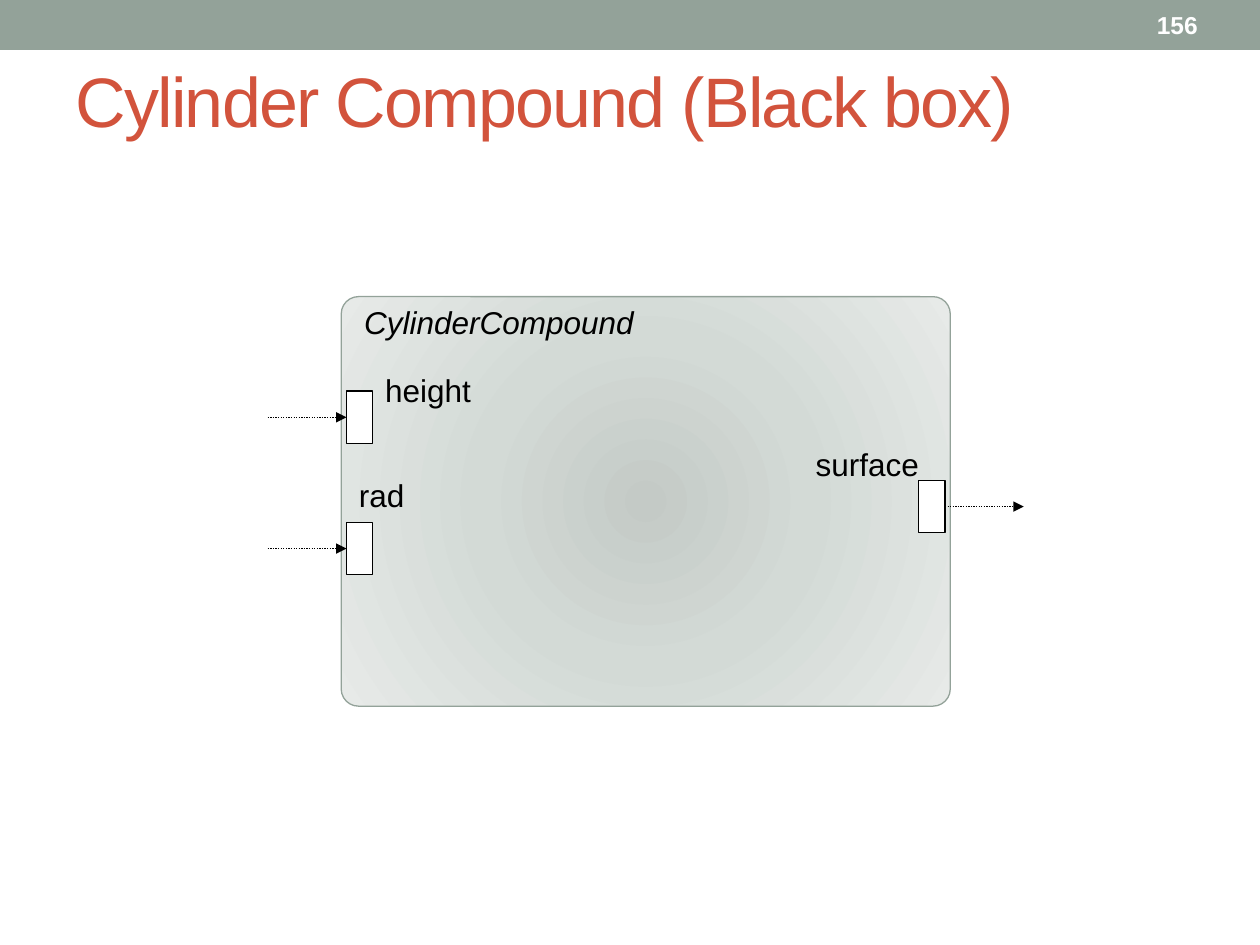
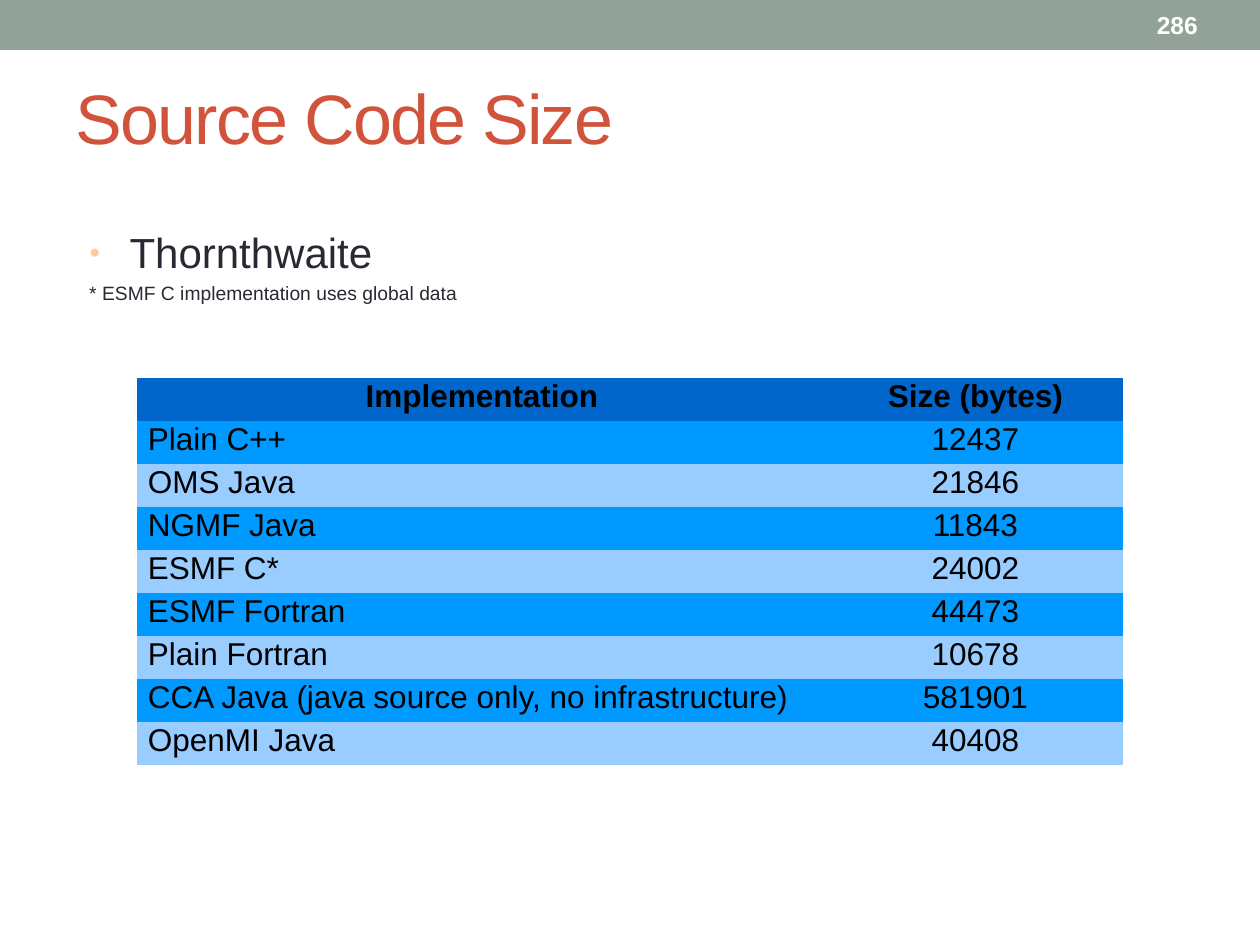
"""Build the cylinder compound diagram and the source code size table."""
from dataclasses import dataclass

import lxml.etree
import pptx
import pptx.dml.color
import pptx.enum.dml
import pptx.enum.shapes
import pptx.enum.text
import pptx.oxml
import pptx.oxml.ns
import pptx.util

RGB = pptx.dml.color.RGBColor
Pt = pptx.util.Pt
qn = pptx.oxml.ns.qn
SHAPE = pptx.enum.shapes.MSO_SHAPE
ANCHOR = pptx.enum.text.MSO_ANCHOR
ALIGN = pptx.enum.text.PP_ALIGN

SAGE = RGB(0x93, 0xA2, 0x99)
RUST = RGB(0xD2, 0x53, 0x3C)
INK = RGB(0x29, 0x29, 0x34)
PEACH = RGB(0xFF, 0xCC, 0x99)
BLACK = RGB(0, 0, 0)
WHITE = RGB(0xFF, 0xFF, 0xFF)
HEADER_BLUE = RGB(0x00, 0x66, 0xCC)
ROW_BLUES = (RGB(0x00, 0x99, 0xFF), RGB(0x99, 0xCC, 0xFF))
PANEL_STOPS = ((0, RGB(0xC4, 0xCA, 0xC6)), (45, RGB(0xD3, 0xDA, 0xD6)),
               (100, RGB(0xE7, 0xEA, 0xE8)))

FONT = "Arial"
WIDTH, HEIGHT = pptx.util.Inches(10), pptx.util.Inches(7.5)
COLS, ROWS = 480, 360
PORT_W, PORT_H, ARROW_LEN, LABEL_H = 10, 20, 30, 20


@dataclass(frozen=True)
class Box:
    """A rectangle in grid columns and rows."""
    x: float
    y: float
    w: float
    h: float

    def emu(self) -> tuple[int, int, int, int]:
        """Return left, top, width and height in EMU."""
        return col(self.x), row(self.y), col(self.w), row(self.h)


@dataclass(frozen=True)
class Style:
    """The look of a run of text."""
    size: float
    color: RGB = BLACK
    bold: bool = False
    italic: bool = False
    spacing: int = 0


@dataclass(frozen=True)
class Port:
    """A labelled input or output of the component."""
    name: str
    x: float
    y: float
    label: Box
    is_input: bool


TITLE = Style(40, RUST, spacing=-100)
NUMBER = Style(14, WHITE, bold=True)
LABEL = Style(18)
BAND = Box(0, 0, COLS, 19)
NUMBER_BOX = Box(436, 1, 28, 17)
PANEL = Box(130, 113, 232, 156)
PORTS = (
    Port("height", 132, 149, Box(142, 139, 70, LABEL_H), True),
    Port("rad", 132, 199, Box(132, 179, 40, LABEL_H), True),
    Port("surface", 350, 183, Box(306, 167, 54, LABEL_H), False),
)
TABLE = Box(52, 144, 376, 147.4)
TABLE_SHARES = (0.7, 0.3)
SIZES = (
    ("Implementation", "Size (bytes)"),
    ("Plain C++", "12437"),
    ("OMS Java", "21846"),
    ("NGMF Java", "11843"),
    ("ESMF C*", "24002"),
    ("ESMF Fortran", "44473"),
    ("Plain Fortran", "10678"),
    ("CCA Java (java source only, no infrastructure)", "581901"),
    ("OpenMI Java", "40408"),
)


def col(n: float) -> int:
    """Convert grid columns to EMU."""
    return round(WIDTH * n / COLS)


def row(n: float) -> int:
    """Convert grid rows to EMU."""
    return round(HEIGHT * n / ROWS)


def add_run(p, text: str, style: Style) -> None:
    """Append one styled run."""
    r = p.add_run()
    r.text = text
    r.font.name = FONT
    r.font.size = Pt(style.size)
    r.font.bold = style.bold
    r.font.italic = style.italic
    r.font.color.rgb = style.color
    if style.spacing:
        r.font._element.set("spc", str(style.spacing))


def add_frame(s, box: Box, anchor=ANCHOR.TOP):
    """Add a wrapping text box and return its frame."""
    tf = s.shapes.add_textbox(*box.emu()).text_frame
    tf.word_wrap = True
    tf.vertical_anchor = anchor
    return tf


def add_text(s, box: Box, text: str, style: Style, anchor=ANCHOR.TOP) -> None:
    """Add a text box holding one run."""
    add_run(add_frame(s, box, anchor).paragraphs[0], text, style)


def add_block(s, kind, box: Box, fill: RGB | None, line: RGB | None):
    """Add a flat preset shape."""
    sp = s.shapes.add_shape(kind, *box.emu())
    sp.shadow.inherit = False
    if fill is not None:
        sp.fill.solid()
        sp.fill.fore_color.rgb = fill
    if line is None:
        sp.line.fill.background()
    else:
        sp.line.color.rgb = line
        sp.line.width = Pt(0.75)
    return sp


def add_page(prs, title: str, number: str, title_box: Box):
    """Add a blank slide with its band, title and number."""
    s = prs.slides.add_slide(prs.slide_layouts[6])
    add_block(s, SHAPE.RECTANGLE, BAND, SAGE, None)
    add_text(s, title_box, title, TITLE, ANCHOR.MIDDLE)
    add_text(s, NUMBER_BOX, number, NUMBER, ANCHOR.MIDDLE)
    return s


def add_panel(s) -> None:
    """Draw the component body with a radial gradient."""
    sp = add_block(s, SHAPE.ROUNDED_RECTANGLE, PANEL, None, SAGE)
    sp.adjustments[0] = 0.042
    stops = "".join(f'<a:gs pos="{pos * 1000}"><a:srgbClr val="{color}"/></a:gs>'
                    for pos, color in PANEL_STOPS)
    edge = " ".join(f'{side}="100000"' for side in "ltrb")
    grad = pptx.oxml.parse_xml(
        f'<a:gradFill {pptx.oxml.ns.nsdecls("a")} rotWithShape="1">'
        f'<a:gsLst>{stops}</a:gsLst>'
        f'<a:path path="circle"><a:fillToRect {edge}/></a:path></a:gradFill>')
    sp._element.spPr.insert(2, grad)


def add_port(s, port: Port) -> None:
    """Draw a port with its label and dotted arrow."""
    sp = add_block(s, SHAPE.RECTANGLE, Box(port.x, port.y, PORT_W, PORT_H),
                   WHITE, BLACK)
    start = port.x - ARROW_LEN if port.is_input else port.x + PORT_W
    y = row(port.y + PORT_H / 2)
    arrow = s.shapes.add_connector(pptx.enum.shapes.MSO_CONNECTOR.STRAIGHT,
                                   col(start), y, col(start + ARROW_LEN), y)
    if port.is_input:
        arrow.end_connect(sp, 1)
    else:
        arrow.begin_connect(sp, 3)
    arrow.line.color.rgb = BLACK
    arrow.line.width = Pt(0.75)
    arrow.line.dash_style = pptx.enum.dml.MSO_LINE.ROUND_DOT
    lxml.etree.SubElement(arrow.line._get_or_add_ln(), qn("a:tailEnd"),
                          type="triangle")
    lxml.etree.SubElement(arrow._element.spPr, qn("a:effectLst"))
    add_text(s, port.label, port.name, LABEL)


def add_notes_on_model(s) -> None:
    """Write the bulleted model name and its footnote."""
    tf = add_frame(s, Box(24, 84, 432, 233))
    model, footnote = tf.paragraphs[0], tf.add_paragraph()
    for p in (model, footnote):
        pPr = p._p.get_or_add_pPr()
        pPr.set("marL", str(pptx.util.Inches(0.43)))
        pPr.set("indent", str(pptx.util.Inches(-0.32)))
    pPr = model._p.get_or_add_pPr()
    color = lxml.etree.SubElement(pPr, qn("a:buClr"))
    lxml.etree.SubElement(color, qn("a:srgbClr"), val=str(PEACH))
    lxml.etree.SubElement(pPr, qn("a:buSzPct"), val="45000")
    lxml.etree.SubElement(pPr, qn("a:buFont"), typeface=FONT)
    lxml.etree.SubElement(pPr, qn("a:buChar"), char="●")
    footnote.space_before = Pt(2.2)
    add_run(model, "Thornthwaite", Style(24, INK))
    add_run(footnote, "* ESMF C implementation uses global data", Style(11, INK))


def style_cell(cell, fill: RGB) -> None:
    """Set a cell's margins, fill and hairline borders."""
    cell.margin_left = cell.margin_right = pptx.util.Inches(0.09)
    cell.margin_top = pptx.util.Inches(0.03)
    cell.margin_bottom = pptx.util.Inches(0.05)
    cell.vertical_anchor = ANCHOR.MIDDLE
    cell.fill.solid()
    cell.fill.fore_color.rgb = fill
    for i, side in enumerate("LRTB"):
        ln = pptx.oxml.parse_xml(
            f'<a:ln{side} {pptx.oxml.ns.nsdecls("a")} w="{Pt(0.03)}">'
            f'<a:solidFill><a:srgbClr val="{WHITE}"/></a:solidFill></a:ln{side}>')
        cell._tc.get_or_add_tcPr().insert(i, ln)


def add_size_table(s) -> None:
    """Draw the table of implementation sizes."""
    table = s.shapes.add_table(len(SIZES), len(TABLE_SHARES), *TABLE.emu()).table
    for column, share in zip(table.columns, TABLE_SHARES):
        column.width = col(TABLE.w * share)
    for i, values in enumerate(SIZES):
        table.rows[i].height = row(TABLE.h / len(SIZES))
        for j, value in enumerate(values):
            cell = table.cell(i, j)
            style_cell(cell, ROW_BLUES[(i - 1) % 2] if i else HEADER_BLUE)
            p = cell.text_frame.paragraphs[0]
            p.alignment = ALIGN.LEFT if i and not j else ALIGN.CENTER
            p.line_spacing = 0.87
            add_run(p, value, Style(18, bold=i == 0))


def main() -> None:
    """Build and save both slides."""
    prs = pptx.Presentation()
    prs.slide_width, prs.slide_height = WIDTH, HEIGHT

    s = add_page(prs, "Cylinder Compound (Black box)", "156", Box(24, 16, 432, 44))
    add_panel(s)
    add_text(s, Box(134, 113, 130, LABEL_H), "CylinderCompound",
             Style(18, italic=True))
    for port in PORTS:
        add_port(s, port)

    s = add_page(prs, "Source Code Size", "286", Box(24, 16.5, 432, 55.5))
    add_notes_on_model(s)
    add_size_table(s)

    prs.save("out.pptx")


if __name__ == "__main__":
    main()
